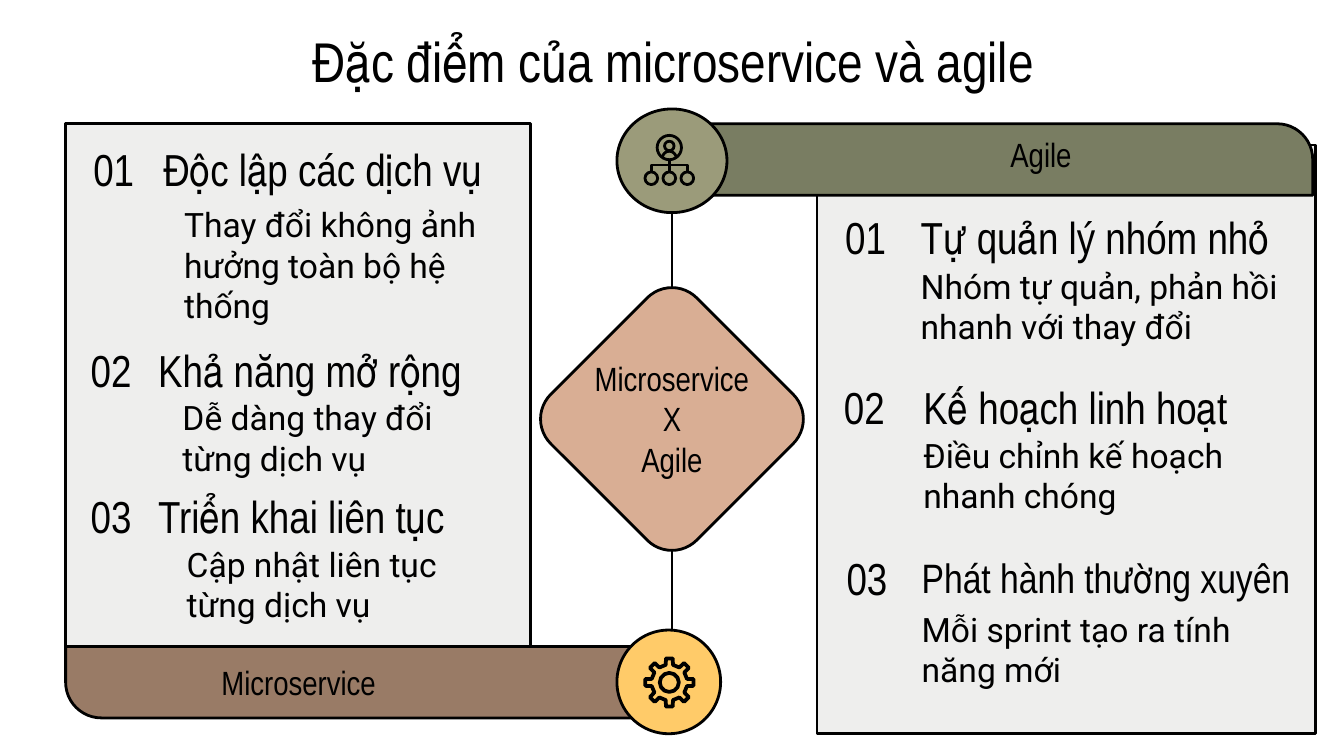
"""Build a slide comparing the traits of microservice and agile."""
from math import cos, pi, sin

from lxml.etree import SubElement
from pptx import Presentation
from pptx.dml.color import RGBColor
from pptx.enum.shapes import MSO_CONNECTOR, MSO_SHAPE as SHAPE
from pptx.enum.text import MSO_ANCHOR as ANCHOR, PP_ALIGN as ALIGN
from pptx.oxml.ns import qn
from pptx.util import Cm, Pt

BLACK = RGBColor(0x00, 0x00, 0x00)
PANEL = RGBColor(0xEE, 0xEE, 0xED)
CLAY = RGBColor(0xD9, 0xAE, 0x94)
OLIVE = RGBColor(0x79, 0x7D, 0x62)
SAGE = RGBColor(0x9B, 0x9B, 0x7A)
BROWN = RGBColor(0x99, 0x7B, 0x66)
AMBER = RGBColor(0xFF, 0xCB, 0x69)
NARROW, ROBOTO = "Arial Narrow", "Roboto"
MID_X = 12.7
ICON_X = 12.65


def paint(sp, fill=None, weight=1.5):
    sp.shadow.inherit = False
    if fill is None:
        sp.fill.background()
    else:
        sp.fill.solid()
        sp.fill.fore_color.rgb = fill
    sp.line.color.rgb = BLACK
    sp.line.width = Pt(weight)
    return sp


def write(sp, text, size=18, font=NARROW, align=ALIGN.LEFT, anchor=ANCHOR.MIDDLE):
    tf = sp.text_frame
    tf.word_wrap = True
    tf.vertical_anchor = anchor
    tf.margin_left = tf.margin_right = tf.margin_top = tf.margin_bottom = Cm(0.25)
    for i, line in enumerate(text.split("\n")):
        p = tf.add_paragraph() if i else tf.paragraphs[0]
        p.alignment = align
        r = p.add_run()
        r.text = line
        r.font.size = Pt(size)
        r.font.name = font
        r.font.color.rgb = BLACK


prs = Presentation()
prs.slide_width, prs.slide_height = Cm(25.4), Cm(14.29)
s = prs.slides.add_slide(prs.slide_layouts[5])
shapes = s.shapes

title = shapes.title
title.left, title.top, title.width, title.height = Cm(1.3), Cm(0.25), Cm(22.86), Cm(1.6)
write(title, "Đặc điểm của microservice và agile", size=30, align=ALIGN.CENTER, anchor=ANCHOR.TOP)

links = [
    shapes.add_connector(MSO_CONNECTOR.STRAIGHT, Cm(MID_X), Cm(y1), Cm(MID_X), Cm(y2))
    for y1, y2 in [(4.0, 6.17), (11.91, 9.65)]
]

diamond = paint(shapes.add_shape(SHAPE.ROUNDED_RECTANGLE, Cm(10.75), Cm(5.97), Cm(3.9), Cm(3.9)), CLAY)
diamond.adjustments[0] = 0.17
diamond.rotation = 315

label = paint(shapes.add_shape(SHAPE.RECTANGLE, Cm(10.35), Cm(6.17), Cm(4.7), Cm(3.48)))
label.line.fill.background()
write(label, "Microservice\nX\nAgile", align=ALIGN.CENTER)
for link, side in zip(links, (0, 2)):
    link.end_connect(label, side)

for kind, box, fill, angle in [
    (SHAPE.RECTANGLE, (15.44, 2.74, 9.42, 11.13), PANEL, 0),
    (SHAPE.RECTANGLE, (1.24, 2.34, 8.79, 9.91), PANEL, 0),
    (SHAPE.ROUND_1_RECTANGLE, (12.67, 2.34, 12.14, 1.35), OLIVE, 0),
    (SHAPE.ROUND_1_RECTANGLE, (1.24, 12.22, 11.4, 1.35), BROWN, 180),
    (SHAPE.OVAL, (11.66, 2.06, 2.08, 1.96), SAGE, 0),
    (SHAPE.OVAL, (11.66, 11.91, 1.96, 1.96), AMBER, 0),
]:
    sp = paint(shapes.add_shape(kind, *map(Cm, box)), fill)
    sp.rotation = angle
    if kind == SHAPE.ROUND_1_RECTANGLE:
        sp.adjustments[0] = 0.5

for name, left, top in [("Agile", 15.27, 2.59), ("Microservice", 1.24, 12.57)]:
    write(shapes.add_textbox(Cm(left), Cm(top), Cm(8.81), Cm(0.64)), name, align=ALIGN.CENTER)

for number, num_box, heading, size, head_box, body, body_box in [
    ("01", (1.45, 2.46, 1.4, 1.47), "Độc lập các dịch vụ", 24, (2.84, 2.46, 6.93, 1.45),
     "Thay đổi không ảnh hưởng toàn bộ hệ thống", (3.23, 3.53, 6.96, 2.95)),
    ("02", (1.45, 6.5, 1.3, 0.97), "Khả năng mở rộng", 24, (2.74, 6.5, 6.43, 0.97),
     "Dễ dàng thay đổi từng dịch vụ", (3.2, 7.29, 6.43, 1.96)),
    ("03", (1.45, 9.3, 1.3, 0.91), "Triển khai liên tục", 24, (2.74, 9.3, 6.43, 0.91),
     "Cập nhật liên tục từng dịch vụ", (3.28, 10.11, 6.43, 1.85)),
    ("01", (15.6, 4.04, 1.52, 0.88), "Tự quản lý nhóm nhỏ", 24, (17.15, 4.04, 7.57, 0.86),
     "Nhóm tự quản, phản hồi nhanh với thay đổi", (17.15, 4.9, 7.57, 1.78)),
    ("02", (15.6, 7.26, 1.47, 0.86), "Kế hoạch linh hoạt", 24, (17.2, 7.26, 7.24, 0.86),
     "Điều chỉnh kế hoạch nhanh chóng", (17.2, 8.1, 7.24, 1.75)),
    ("03", (15.6, 10.46, 1.57, 0.91), "Phát hành thường xuyên", 22, (17.17, 10.46, 7.75, 0.89),
     "Mỗi sprint tạo ra tính năng mới", (17.17, 11.35, 7.75, 1.83)),
]:
    write(shapes.add_textbox(*map(Cm, num_box)), number, size=24, align=ALIGN.CENTER)
    write(shapes.add_textbox(*map(Cm, head_box)), heading, size=size)
    write(shapes.add_textbox(*map(Cm, body_box)), body, font=ROBOTO)

gear_y = 12.9
gear = [
    (ICON_X + radius * cos(tooth * pi / 4 + turn), gear_y + radius * sin(tooth * pi / 4 + turn))
    for tooth in range(8)
    for radius, turn in [(0.34, -0.2), (0.46, -0.14), (0.46, 0.14), (0.34, 0.2)]
]
shoulders = [(ICON_X - 0.13 * cos(i * pi / 12), 2.99 - 0.13 * sin(i * pi / 12)) for i in range(13)]
branch = [(ICON_X - 0.34, 3.25), (ICON_X - 0.34, 3.12), (ICON_X + 0.34, 3.12), (ICON_X + 0.34, 3.25)]
for points, closed, weight in [(gear, True, 2), (shoulders, False, 1.5), (branch, False, 1.5)]:
    points = [(Cm(x), Cm(y)) for x, y in points]
    outline = shapes.build_freeform(*points[0])
    outline.add_line_segments(points[1:], close=closed)
    paint(outline.convert_to_shape(), weight=weight)

for x, y, radius, weight in [
    (ICON_X, gear_y, 0.18, 2),
    (ICON_X, 2.79, 0.23, 1.5),
    (ICON_X, 2.76, 0.09, 1.5),
    *[(ICON_X + step * 0.34, 3.37, 0.12, 1.5) for step in (-1, 0, 1)],
]:
    box = (x - radius, y - radius, 2 * radius, 2 * radius)
    paint(shapes.add_shape(SHAPE.OVAL, *map(Cm, box)), weight=weight)

links.append(shapes.add_connector(MSO_CONNECTOR.STRAIGHT, Cm(ICON_X), Cm(3.02), Cm(ICON_X), Cm(3.25)))
for link in links:
    link.line.color.rgb = BLACK
    link.line.width = Pt(1.5)
    SubElement(link._element.spPr, qn("a:effectLst"))

prs.save("out.pptx")
